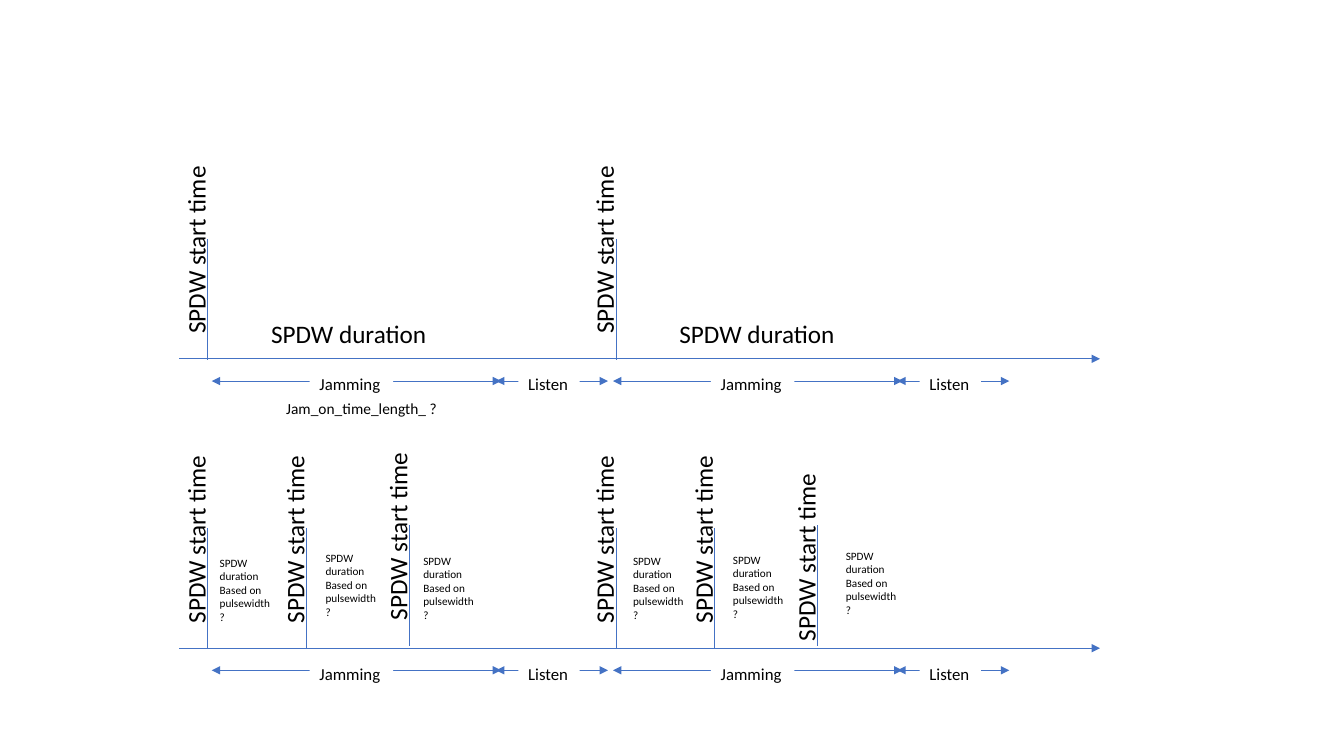
from lxml import etree
from pptx import Presentation
from pptx.dml.color import RGBColor
from pptx.enum.shapes import MSO_CONNECTOR, MSO_SHAPE
from pptx.enum.text import MSO_ANCHOR, MSO_AUTO_SIZE, PP_ALIGN
from pptx.oxml.ns import qn
from pptx.util import Inches, Pt

STRAIGHT = MSO_CONNECTOR.STRAIGHT
RECTANGLE = MSO_SHAPE.RECTANGLE
TOP, MIDDLE = MSO_ANCHOR.TOP, MSO_ANCHOR.MIDDLE
GROW = MSO_AUTO_SIZE.SHAPE_TO_FIT_TEXT
LEFT = PP_ALIGN.LEFT

COLORS = {"line": "4472C4", "text": "000000", "background": "FFFFFF"}
FONT = "Calibri"

UPPER_AXIS, LOWER_AXIS = 3.56, 6.43
CYCLE_STARTS = (2.1, 6.08)
UPPER_PULSES = (2.06, 6.11)
LOWER_PULSES = (
    (2.06, 5.24, 5.14),
    (3.04, 5.24, 5.14),
    (4.06, 5.21, 5.11),
    (6.11, 5.24, 5.14),
    (7.09, 5.24, 5.14),
    (8.11, 5.21, 5.32),
)
DURATION_NOTES = (
    (2.08, 5.47), (3.13, 5.42), (4.1, 5.45),
    (6.18, 5.45), (7.17, 5.44), (8.29, 5.4),
)


def color(name):
    """Return the named colour."""
    return RGBColor.from_string(COLORS[name])


def write_text(shape, text, size, wrap=True, anchor=TOP):
    """Fill a shape with left-aligned text, one paragraph per line."""
    frame = shape.text_frame
    frame.text = text
    frame.word_wrap = wrap
    frame.auto_size = GROW
    frame.vertical_anchor = anchor
    for paragraph in frame.paragraphs:
        paragraph.alignment = LEFT
        paragraph.font.name = FONT
        paragraph.font.size = Pt(size)
        paragraph.font.color.rgb = color("text")


def add_text(slide, text, left, top, width, height, size=18, wrap=False, rotation=0):
    """Add a text box."""
    box = slide.shapes.add_textbox(Inches(left), Inches(top), Inches(width), Inches(height))
    box.rotation = rotation
    write_text(box, text, size, wrap=wrap)


def add_line(slide, start, end, arrowheads=()):
    """Add a thin line with triangles at the listed ends."""
    connector = slide.shapes.add_connector(STRAIGHT, *map(Inches, start + end))
    connector.line.color.rgb = color("line")
    connector.line.width = Pt(0.5)
    outline = connector.line._get_or_add_ln()
    for arrowhead in arrowheads:
        etree.SubElement(outline, qn(f"a:{arrowhead}"), type="triangle")
    etree.SubElement(connector._element.spPr, qn("a:effectLst"))


def add_phase(slide, name, start, length, label_offset, label_width, axis):
    """Add a double arrow below the axis with its name over the middle."""
    arrow_y = axis + 0.22
    add_line(slide, (start, arrow_y), (start + length, arrow_y), ("headEnd", "tailEnd"))
    label = slide.shapes.add_shape(
        RECTANGLE, Inches(start + label_offset), Inches(axis + 0.1),
        Inches(label_width), Inches(0.3))
    label.shadow.inherit = False
    label.fill.solid()
    label.fill.fore_color.rgb = color("background")
    label.line.fill.background()
    write_text(label, name, 12, anchor=MIDDLE)


def add_timeline(slide, axis):
    """Add a time axis with its jamming and listening phases."""
    add_line(slide, (1.78, axis), (10.91, axis), ("tailEnd",))
    for start in CYCLE_STARTS:
        add_phase(slide, "Jamming", start, 2.87, 0.97, 0.83, axis)
        add_phase(slide, "Listen", start + 2.82, 1.11, 0.22, 0.61, axis)


def add_pulse(slide, x, top, label_top):
    """Add a start mark with its upright label."""
    add_line(slide, (x, top), (x, top + 1.2))
    add_text(slide, "SPDW start time", x - 1.06, label_top, 1.88, 0.4, rotation=270)


def main():
    """Build the slide and save it."""
    presentation = Presentation()
    presentation.slide_width = Inches(13.33)
    presentation.slide_height = Inches(7.5)
    slide = presentation.slides.add_slide(presentation.slide_layouts[6])

    for axis in (UPPER_AXIS, LOWER_AXIS):
        add_timeline(slide, axis)
    for x in UPPER_PULSES:
        add_pulse(slide, x, 2.37, 2.27)
        add_text(slide, "SPDW duration", x + 0.53, 3.11, 1.76, 0.4)
    add_text(slide, "Jam_on_time_length_ ?", 2.74, 3.91, 2.05, 0.29, size=11, wrap=True)
    for x, top, label_top in LOWER_PULSES:
        add_pulse(slide, x, top, label_top)
    for left, top in DURATION_NOTES:
        add_text(slide, "SPDW duration\nBased on pulsewidth?", left, top, 0.75, 0.77,
                 size=8, wrap=True)

    presentation.save("out.pptx")


if __name__ == "__main__":
    main()
